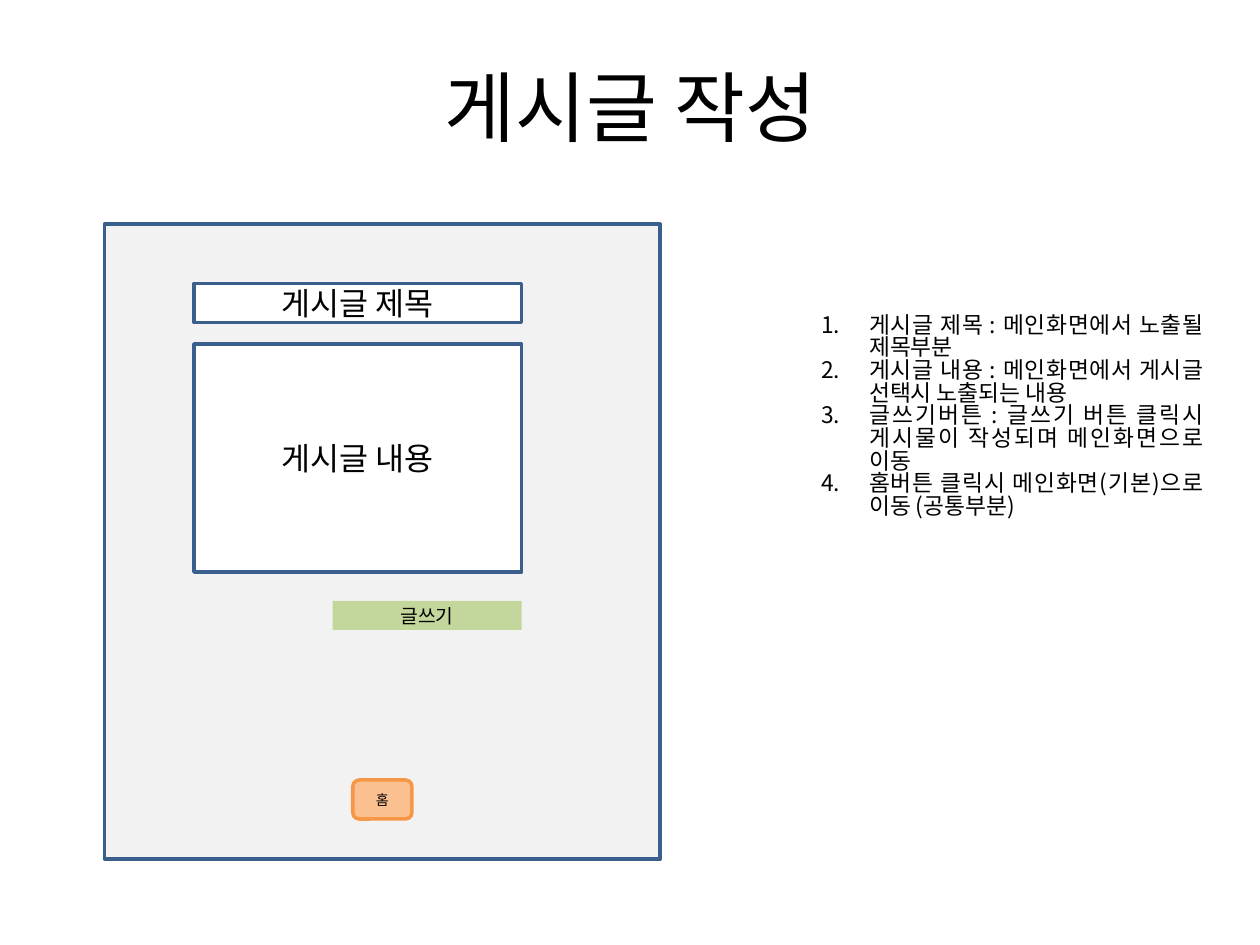
from lxml.etree import SubElement
from pptx import Presentation
from pptx.dml.color import RGBColor
from pptx.enum.shapes import MSO_SHAPE
from pptx.enum.text import MSO_ANCHOR, PP_ALIGN
from pptx.oxml.ns import qn
from pptx.util import Inches, Pt

FONT = "Noto Sans CJK KR"


def color(value):
    return RGBColor.from_string(value)


def write(frame, text, size, align=PP_ALIGN.CENTER):
    frame.text = text
    frame.word_wrap = True
    frame.vertical_anchor = MSO_ANCHOR.MIDDLE
    for paragraph in frame.paragraphs:
        paragraph.alignment = align
        for run in paragraph.runs:
            run.font.size = Pt(size)
            run.font.name = FONT
            run.font.color.rgb = color("000000")
            SubElement(run.font._element, qn("a:ea"), typeface=FONT)


prs = Presentation()
prs.slide_width, prs.slide_height = Inches(10), Inches(7.5)
slide = prs.slides.add_slide(prs.slide_layouts[5])

title = slide.shapes.title
title.left, title.top = Inches(1.46), Inches(0.21)
title.width, title.height = Inches(7.09), Inches(1.26)
write(title.text_frame, "게시글 작성", 44)

RECT, ROUNDED = MSO_SHAPE.RECTANGLE, MSO_SHAPE.ROUNDED_RECTANGLE
screen_parts = [
    (RECT, 0.83, 1.78, 4.41, 5.04, "F2F2F2", "3A5F8C", "", 18),
    (RECT, 1.54, 2.25, 2.6, 0.31, "FFFFFF", "3A5F8C", "게시글 제목", 18),
    (RECT, 1.54, 2.73, 2.6, 1.81, "FFFFFF", "3A5F8C", "게시글 내용", 18),
    (RECT, 2.64, 4.77, 1.5, 0.23, "C3D69B", None, "글쓰기", 11),
    (ROUNDED, 2.8, 6.19, 0.47, 0.31, "FAC090", "F79646", "홈", 8),
]
for kind, left, top, width, height, fill, outline, label, size in screen_parts:
    part = slide.shapes.add_shape(
        kind, Inches(left), Inches(top), Inches(width), Inches(height))
    part.shadow.inherit = False
    part.fill.solid()
    part.fill.fore_color.rgb = color(fill)
    if outline:
        part.line.color.rgb = color(outline)
        part.line.width = Pt(2)
    else:
        part.line.fill.background()
    if label:
        write(part.text_frame, label, size)

descriptions = [
    "게시글 제목 : 메인화면에서 노출될 제목부분",
    "게시글 내용 : 메인화면에서 게시글 선택시 노출되는 내용",
    "글쓰기버튼 : 글쓰기 버튼 클릭시 게시물이 작성되며 메인화면으로 이동",
    "홈버튼 클릭시 메인화면(기본)으로 이동 (공통부분)",
]
guide = slide.shapes.add_textbox(
    Inches(6.42), Inches(1.78), Inches(3.23), Inches(3.93)).text_frame
write(guide, "\n".join(descriptions), 13, PP_ALIGN.JUSTIFY)
guide.margin_bottom = Inches(0.92)
for paragraph in guide.paragraphs:
    paragraph.line_spacing = 0.83
    properties = paragraph._p.get_or_add_pPr()
    properties.set("marL", str(Inches(0.38)))
    properties.set("indent", str(-Inches(0.38)))
    SubElement(properties, qn("a:buFont"), typeface=FONT)
    SubElement(properties, qn("a:buAutoNum"), type="arabicPeriod")

prs.save("out.pptx")
